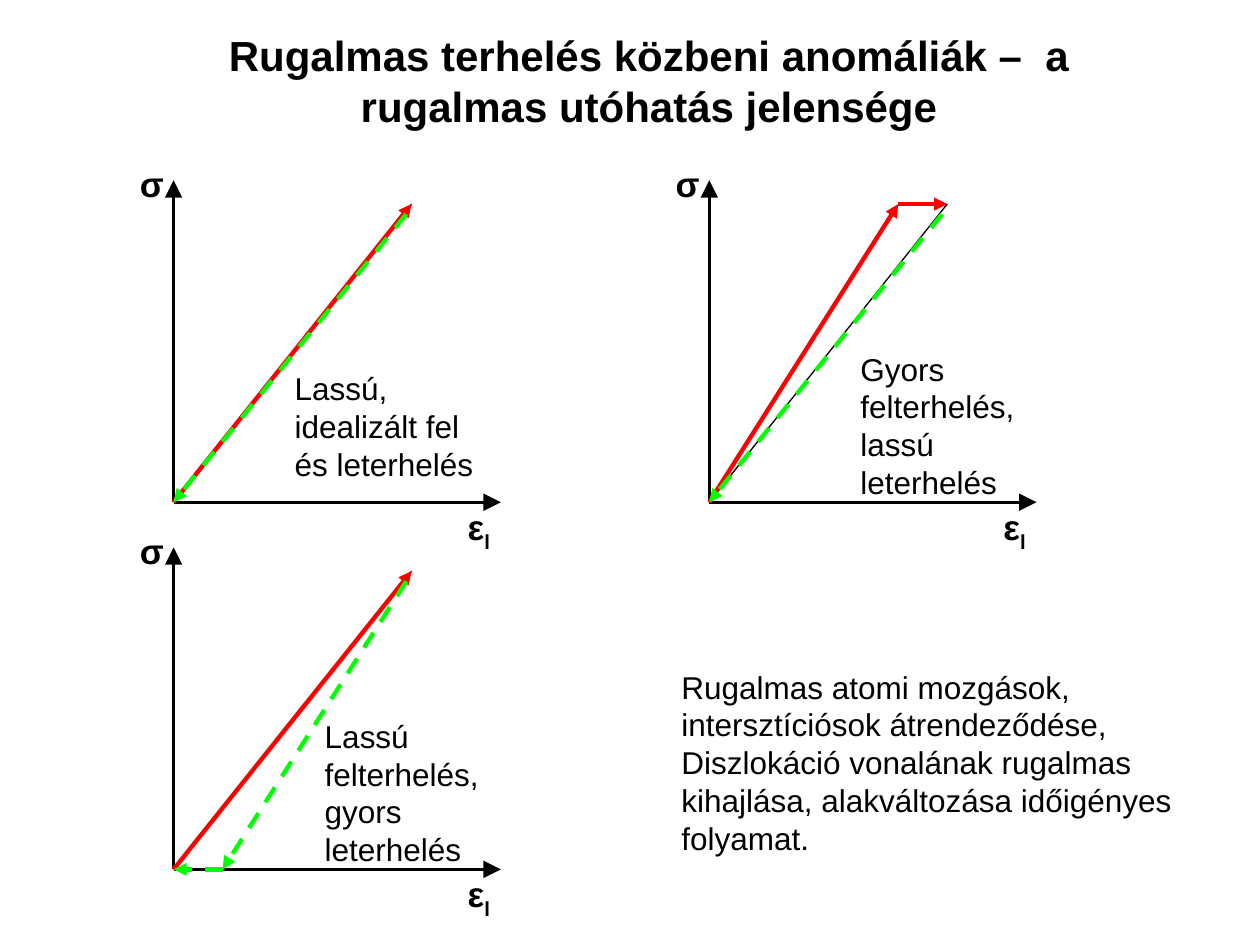
from lxml import etree
from pptx import Presentation
from pptx.dml.color import RGBColor
from pptx.enum.dml import MSO_LINE
from pptx.enum.shapes import MSO_CONNECTOR
from pptx.enum.text import MSO_ANCHOR, MSO_AUTO_SIZE, PP_ALIGN
from pptx.oxml.ns import qn
from pptx.util import Pt

STRAIGHT = MSO_CONNECTOR.STRAIGHT
DASH = MSO_LINE.DASH
MIDDLE = MSO_ANCHOR.MIDDLE
GROW = MSO_AUTO_SIZE.SHAPE_TO_FIT_TEXT
FIXED = MSO_AUTO_SIZE.NONE
CENTER = PP_ALIGN.CENTER

BLACK = RGBColor(0, 0, 0)
RED = RGBColor(255, 0, 0)
GREEN = RGBColor(0, 255, 0)

deck = Presentation()
deck.slide_width, deck.slide_height = Pt(720), Pt(540)
page = deck.slides.add_slide(deck.slide_layouts[6])


def add_text(left, top, width, height, paragraphs, size, bold=False, label=False):
    """Add a text box from lists of runs; a label has narrow insets."""
    box = page.shapes.add_textbox(Pt(left), Pt(top), Pt(width), Pt(height))
    frame = box.text_frame
    frame.margin_left = frame.margin_right = Pt(3.6 if label else 7.2)
    frame.margin_top = frame.margin_bottom = Pt(1.8 if label else 3.6)
    frame.word_wrap = True
    frame.auto_size = GROW
    for index, runs in enumerate(paragraphs):
        para = frame.add_paragraph() if index else frame.paragraphs[0]
        for text in runs:
            span = para.add_run()
            span.text = text
            span.font.name = "Arial"
            span.font.size = Pt(size)
            span.font.bold = bold
            span.font.color.rgb = BLACK
    return frame


def add_line(origin, start, end, color, width, head="med", dashed=False):
    """Draw a line between points relative to origin; head is the arrowhead size."""
    x, y = origin
    line = page.shapes.add_connector(
        STRAIGHT, Pt(x + start[0]), Pt(y + start[1]), Pt(x + end[0]), Pt(y + end[1]))
    line.line.color.rgb = color
    line.line.width = Pt(width)
    if dashed:
        line.line.dash_style = DASH
    properties = line.element.spPr
    if head:
        etree.SubElement(properties.find(qn("a:ln")), qn("a:tailEnd"),
                         type="triangle", w=head, len=head)
    etree.SubElement(properties, qn("a:effectLst"))


title = add_text(110.2, 20.2, 521.3, 51.1,
                 [["Rugalmas terhelés közbeni anomáliák –  a rugalmas utóhatás jelensége"]],
                 24, bold=True)
title.auto_size = FIXED
title.vertical_anchor = MIDDLE
title.paragraphs[0].alignment = CENTER

# Points on the stress-strain curves, relative to the origin of the axes
ZERO = (0, 0)
PEAK = (136, -170.4)
FAST_PEAK = (108, -170.4)
UNLOAD_START = (133, -164.6)
RESIDUAL = (28, 0)

# Origin, red loading path, green unloading path, caption and its box
diagrams = [
    ((99.2, 287), [ZERO, PEAK], [UNLOAD_START, ZERO],
     "Lassú, idealizált fel és leterhelés", (161.3, 207.4, 131.8, 72)),
    ((405.3, 287), [ZERO, FAST_PEAK, PEAK], [UNLOAD_START, ZERO],
     "Gyors felterhelés, lassú leterhelés", (484.6, 196.2, 131.8, 93.6)),
    ((99.2, 496.8), [ZERO, PEAK], [UNLOAD_START, RESIDUAL, ZERO],
     "Lassú felterhelés, gyors leterhelés", (178.5, 406.1, 131.8, 93.6)),
]

for origin, loading, unloading, caption, caption_box in diagrams:
    x, y = origin
    for axis_end in [(0, -184), (187, 0)]:
        add_line(origin, ZERO, axis_end, BLACK, 1.5, head="lg")
    add_text(x - 22.8, y - 196.2, 22, 28, [["σ"]], 20, bold=True, label=True)
    strain = add_text(x + 164.5, y, 28, 31, [["ε", "l"]], 20, bold=True, label=True)
    subscript = strain.paragraphs[0].runs[1]
    subscript._r.get_or_add_rPr().set("baseline", "-25000")

    add_line(origin, ZERO, PEAK, BLACK, 0.75, head=None)
    for start, end in zip(loading, loading[1:]):
        add_line(origin, start, end, RED, 2.5)
    for start, end in zip(unloading, unloading[1:]):
        add_line(origin, start, end, GREEN, 2.5, dashed=True)
    add_text(*caption_box, [[caption]], 18)

add_text(382.3, 378, 301.7, 115.2, [
    ["Rugalmas atomi mozgások, intersztíciósok átrendeződése,"],
    ["Diszlokáció vonalának rugalmas kihajlása, alakváltozása időigényes folyamat."],
], 18)

deck.save("out.pptx")
